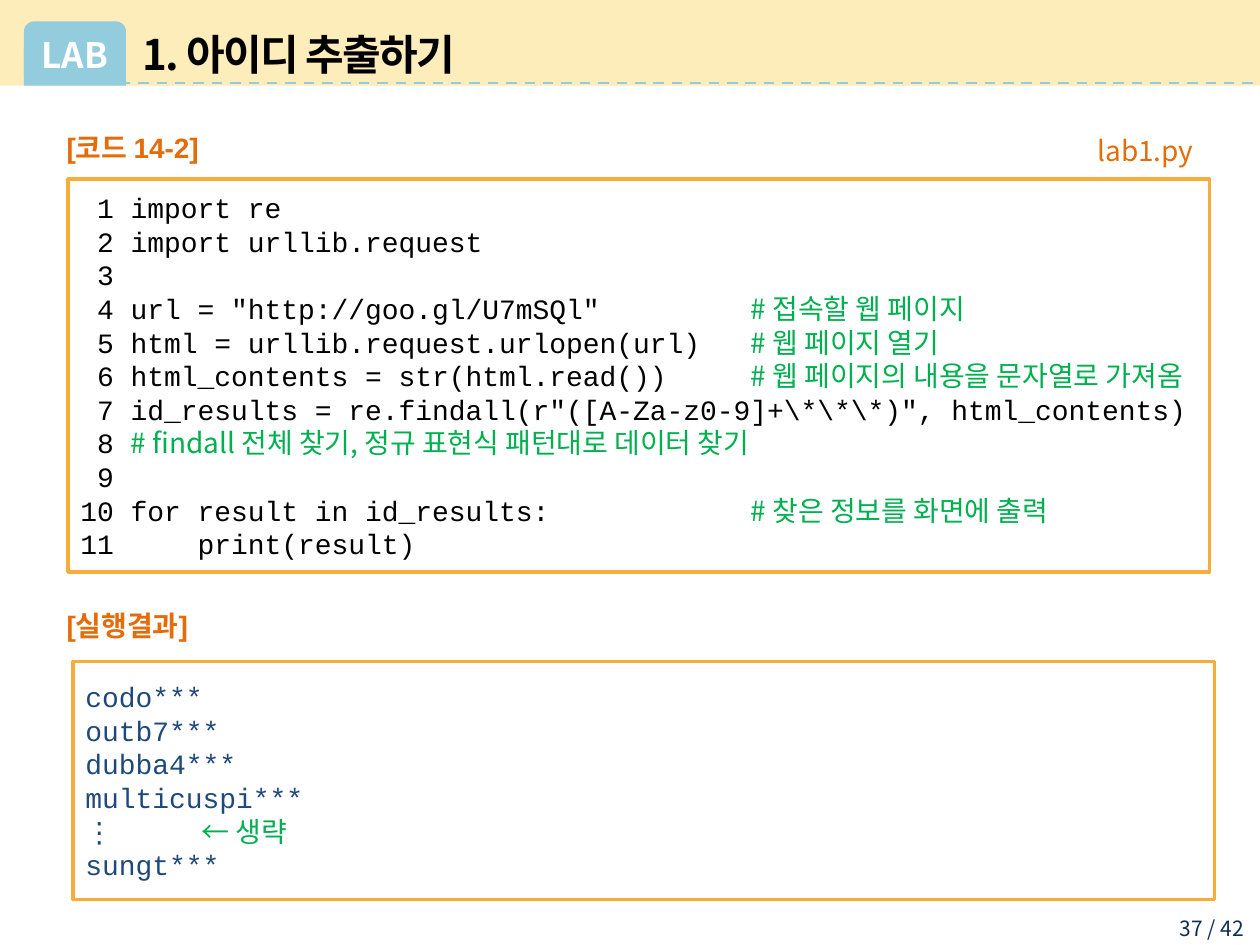
from lxml import etree
from pptx import Presentation
from pptx.dml.color import RGBColor
from pptx.enum.dml import MSO_LINE
from pptx.enum.shapes import MSO_CONNECTOR, MSO_SHAPE
from pptx.enum.text import MSO_ANCHOR, PP_ALIGN
from pptx.oxml.ns import qn
from pptx.util import Inches, Pt

COLORS = {"band": "FABE00", "badge": "93CDDD", "frame": "F6AD3A", "label": "E46C0A",
          "comment": "00B050", "output": "1F497D", "page": "0F2E53",
          "black": "000000", "white": "FFFFFF"}
SANS, MONO, LATIN = "Noto Sans CJK KR", "Courier New", "Arial"

TITLE = "1. 아이디 추출하기"
# Each line is (code, comment); a tab carries the comment to its column.
CODE = [
    (" 1 import re", ""),
    (" 2 import urllib.request", ""),
    (" 3", ""),
    (' 4 url = "http://goo.gl/U7mSQl"\t', "# 접속할 웹 페이지"),
    (" 5 html = urllib.request.urlopen(url)\t", "# 웹 페이지 열기"),
    (" 6 html_contents = str(html.read())\t", "# 웹 페이지의 내용을 문자열로 가져옴"),
    (r' 7 id_results = re.findall(r"([A-Za-z0-9]+\*\*\*)", html_contents)', ""),
    (" 8 ", "# findall 전체 찾기, 정규 표현식 패턴대로 데이터 찾기"),
    (" 9", ""),
    ("10 for result in id_results:\t", "# 찾은 정보를 화면에 출력"),
    ("11     print(result)", ""),
]
OUTPUT = [("codo***", ""), ("outb7***", ""), ("dubba4***", ""),
          ("multicuspi***", ""), ("⋮\t", "← 생략"), ("sungt***", "")]
# text, box, size, font, color, bold, alignment
LABELS = [
    ("37 / 42", (9.05, 7.22, 0.92, 0.3), 12, SANS, "page", False, PP_ALIGN.RIGHT),
    ("LAB", (0.09, 0.19, 1.01, 0.48), 20, SANS, "white", True, PP_ALIGN.CENTER),
    ("[코드 14-2]", (0.43, 0.92, 1.72, 0.5), 16, LATIN, "label", True, PP_ALIGN.LEFT),
    ("[실행결과]", (0.43, 4.69, 1.72, 0.55), 16, LATIN, "label", True, PP_ALIGN.LEFT),
    ("lab1.py", (8.33, 1.01, 1.24, 0.37), 16, SANS, "label", False, PP_ALIGN.RIGHT),
]


def rgb(name):
    return RGBColor.from_string(COLORS[name])


def set_font(font, size, face, color, bold=False):
    font.size, font.name, font.bold = Pt(size), face, bold
    font.color.rgb = rgb(color)


def add_block(shapes, kind, box, fill=None, line=None):
    block = shapes.add_shape(kind, *map(Inches, box))
    block.shadow.inherit = False
    if fill:
        block.fill.solid()
        block.fill.fore_color.rgb = rgb(fill)
    else:
        block.fill.background()
    if line:
        block.line.color.rgb = rgb(line)
        block.line.width = Pt(2)
    else:
        block.line.fill.background()
    return block


def add_label(shapes, text, box, size, face, color, bold, align):
    frame = shapes.add_textbox(*map(Inches, box)).text_frame
    frame.word_wrap = True
    frame.vertical_anchor = MSO_ANCHOR.MIDDLE
    frame.margin_top = frame.margin_bottom = 0
    paragraph = frame.paragraphs[0]
    paragraph.text, paragraph.alignment = text, align
    set_font(paragraph.font, size, face, color, bold)


def add_listing(shapes, box, lines, color, comment_column):
    """Framed monospaced lines; comment_column is inches from the text edge."""
    frame = add_block(shapes, MSO_SHAPE.RECTANGLE, box, line="frame").text_frame
    frame.word_wrap = True
    frame.vertical_anchor = MSO_ANCHOR.MIDDLE
    for index, (code, comment) in enumerate(lines):
        paragraph = frame.add_paragraph() if index else frame.paragraphs[0]
        if "\t" in code:
            tabs = etree.SubElement(paragraph._p.get_or_add_pPr(), qn("a:tabLst"))
            etree.SubElement(tabs, qn("a:tab"), pos=str(Inches(comment_column)), algn="l")
        paragraph.alignment = PP_ALIGN.LEFT
        paragraph.line_spacing = Pt(19.2)
        set_font(paragraph.font, 16, MONO, color)
        paragraph.add_run().text = code
        if comment:
            remark = paragraph.add_run()
            remark.text = comment
            set_font(remark.font, 16, SANS, "comment")


def add_header(shapes):
    band = add_block(shapes, MSO_SHAPE.RECTANGLE, (0, 0, 10, 0.68), "band")
    band_color = band.fill._xPr.find(qn("a:solidFill"))[0]
    etree.SubElement(band_color, qn("a:alpha"), val="27000")
    badge = add_block(shapes, MSO_SHAPE.ROUNDED_RECTANGLE, (0.19, 0.17, 0.81, 0.5), "badge")
    badge.adjustments[0] = 0.16
    add_block(shapes, MSO_SHAPE.RECTANGLE, (0.19, 0.39, 0.81, 0.29), "badge")
    rule = shapes.add_connector(MSO_CONNECTOR.STRAIGHT, Inches(0.95), Inches(0.66),
                                Inches(9.97), Inches(0.66))
    rule.line.color.rgb = rgb("badge")
    rule.line.width = Pt(1.5)
    rule.line.dash_style = MSO_LINE.DASH
    etree.SubElement(rule._element.spPr, qn("a:effectLst"))


def place_title(shapes):
    title = shapes.title
    shapes._spTree.append(title._element)  # in front of the header band
    title.left, title.top, title.width, title.height = map(Inches, (1.03, 0.21, 8.97, 0.43))
    frame = title.text_frame
    frame.vertical_anchor = MSO_ANCHOR.MIDDLE
    frame.margin_top = frame.margin_bottom = 0
    paragraph = frame.paragraphs[0]
    paragraph.text, paragraph.alignment = TITLE, PP_ALIGN.LEFT
    set_font(paragraph.font, 24, SANS, "black", True)
    paragraph.runs[0].font._element.set("spc", "-100")


def main():
    prs = Presentation()
    prs.slide_width, prs.slide_height = Inches(10), Inches(7.5)
    shapes = prs.slides.add_slide(prs.slide_layouts[5]).shapes
    add_header(shapes)
    place_title(shapes)
    add_listing(shapes, (0.54, 1.42, 9.06, 3.12), CODE, "black", 5.32)
    add_listing(shapes, (0.58, 5.25, 9.06, 1.89), OUTPUT, "output", 0.92)
    for label in LABELS:
        add_label(shapes, *label)
    prs.save("out.pptx")


if __name__ == "__main__":
    main()
